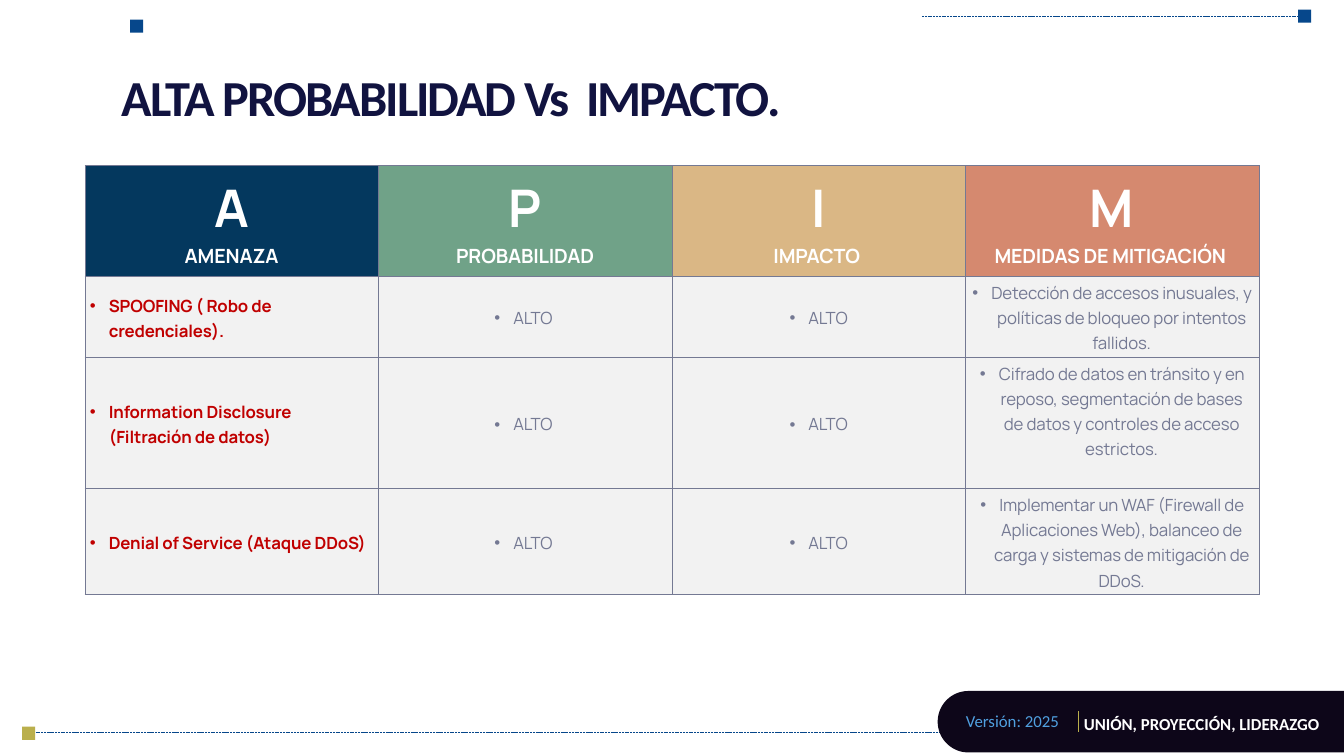
import math
from dataclasses import dataclass
from lxml import etree
from pptx import Presentation
from pptx.dml.color import RGBColor
from pptx.enum import dml, shapes, text
from pptx.oxml import ns
from pptx.util import Pt


@dataclass(frozen=True)
class Theme:
    navy: str = "111340"
    blue: str = "06478B"
    gold: str = "BAAF4C"
    capsule: str = "0D0619"
    sky: str = "50A0E0"
    white: str = "FFFFFF"
    red: str = "C00000"
    gray: str = "747993"
    cell: str = "F2F2F2"
    heads: tuple = ("04385E", "70A288", "DAB785", "D5896F")
    plain_font: str = "Calibri"
    table_font: str = "Manrope"
    title_size: int = 72
    letter_size: int = 74
    label_size: int = 28
    body_size: int = 24


theme = Theme()


def add_text(para, words, size, color, font, bold=False, spacing=0):
    span = para.add_run()
    span.text = words
    span.font.size = Pt(size)
    span.font.name = font
    span.font.bold = bold
    span.font.color.rgb = RGBColor.from_string(color)
    if spacing:
        span.font._element.set("spc", str(spacing))


def add_line(page, x1, y1, x2, y2, color, dashed=True):
    line = page.shapes.add_connector(
        shapes.MSO_CONNECTOR.STRAIGHT, Pt(x1), Pt(y1), Pt(x2), Pt(y2))
    line.line.color.rgb = RGBColor.from_string(color)
    line.line.width = Pt(1)
    if dashed:
        line.line.dash_style = dml.MSO_LINE.SQUARE_DOT
    etree.SubElement(line._element.spPr, ns.qn("a:effectLst"))


deck = Presentation()
deck.slide_width, deck.slide_height = Pt(1919.5), Pt(1080)
page = deck.slides.add_slide(deck.slide_layouts[5])

# Dashed rules and corner squares
add_line(page, 46.8, 1046.9, 1854, 1046.9, theme.blue)
add_line(page, 1316.9, 23, 1864, 23, theme.blue)
for left, top, color in ((31.7, 1038.2, theme.gold),
                         (1854, 13.7, theme.blue),
                         (185.8, 28.1, theme.blue)):
    square = page.shapes.add_shape(
        shapes.MSO_SHAPE.RECTANGLE, Pt(left), Pt(top), Pt(18.7), Pt(18.7))
    square.shadow.inherit = False
    square.fill.solid()
    square.fill.fore_color.rgb = RGBColor.from_string(color)
    square.line.fill.background()

# Footer capsule, rounded on its left end
radius, center_x, center_y = 43.9, 1383.1, 1031
arc = [(Pt(center_x - radius * math.sin(math.radians(angle))),
        Pt(center_y + radius * math.cos(math.radians(angle))))
       for angle in range(0, 181, 4)]
outline = page.shapes.build_freeform(
    deck.slide_width, Pt(center_y - radius), scale=1.0)
outline.add_line_segments(
    [(deck.slide_width, Pt(center_y + radius))] + arc, close=True)
capsule = outline.convert_to_shape()
capsule.shadow.inherit = False
capsule.fill.solid()
capsule.fill.fore_color.rgb = RGBColor.from_string(theme.capsule)
capsule.line.fill.background()

# Footer texts and their divider
for left, top, width, words, color, bold in (
        (1372.3, 1014.5, 281.5, "Versión: 2025", theme.sky, False),
        (1540.8, 1018.8, 363.6, "UNIÓN, PROYECCIÓN, LIDERAZGO", theme.white, True)):
    box = page.shapes.add_textbox(Pt(left), Pt(top), Pt(width), Pt(47.5))
    box.text_frame.word_wrap = True
    para = box.text_frame.paragraphs[0]
    para.line_spacing = 0.9
    add_text(para, words, theme.body_size, color, theme.plain_font, bold)
add_line(page, 1540.8, 1015.9, 1540.8, 1046.2, theme.gold, dashed=False)

# Title
title = page.shapes.title
title.left, title.top, title.width, title.height = Pt(159.1), Pt(83.5), Pt(1601.3), Pt(105.1)
frame = title.text_frame
frame.word_wrap = True
frame.auto_size = text.MSO_AUTO_SIZE.NONE
frame.vertical_anchor = text.MSO_ANCHOR.BOTTOM
frame.margin_left = frame.margin_right = Pt(14.4)
frame.margin_top = frame.margin_bottom = Pt(7.2)
para = frame.paragraphs[0]
para.alignment = text.PP_ALIGN.JUSTIFY
para.line_spacing = 0.9
add_text(para, "ALTA PROBABILIDAD Vs  IMPACTO.", theme.title_size, theme.navy,
         theme.plain_font, True, -290)

# Threat table
headings = (("A", "AMENAZA"), ("P", "PROBABILIDAD"), ("I", "IMPACTO "),
            ("M", "MEDIDAS DE MITIGACIÓN "))
threats = (
    ("SPOOFING ( Robo de credenciales).", "ALTO ", "ALTO",
     "Detección de accesos inusuales, y políticas de bloqueo por intentos fallidos."),
    ("Information Disclosure (Filtración de datos)", "ALTO ", "ALTO",
     "Cifrado de datos en tránsito y en reposo, segmentación de bases de datos "
     "y controles de acceso estrictos."),
    ("Denial of Service (Ataque DDoS)", "ALTO ", "ALTO",
     "Implementar un WAF (Firewall de Aplicaciones Web), balanceo de carga y "
     "sistemas de mitigación de DDoS."),
)
row_heights = (159, 115.5, 187.5, 151.5)
table = page.shapes.add_table(4, 4, Pt(121.2), Pt(236.2), Pt(1676.8),
                              Pt(sum(row_heights))).table
table.first_row = table.horz_banding = False
for row, height in zip(table.rows, row_heights):
    row.height = Pt(height)

for column, (letter, label) in enumerate(headings):
    cell = table.cell(0, column)
    cell.fill.solid()
    cell.fill.fore_color.rgb = RGBColor.from_string(theme.heads[column])
    first, second = cell.text_frame.paragraphs[0], cell.text_frame.add_paragraph()
    for para, words, size in ((first, letter, theme.letter_size),
                              (second, label, theme.label_size)):
        para.alignment = text.PP_ALIGN.CENTER
        add_text(para, words, size, theme.white, theme.table_font, True, -20)

for row, threat in enumerate(threats, start=1):
    for column, words in enumerate(threat):
        cell = table.cell(row, column)
        cell.fill.solid()
        cell.fill.fore_color.rgb = RGBColor.from_string(theme.cell)
        is_name = column == 0
        para = cell.text_frame.paragraphs[0]
        para.alignment = text.PP_ALIGN.LEFT if is_name else text.PP_ALIGN.CENTER
        para.line_spacing = Pt(36)
        props = para._p.get_or_add_pPr()
        props.set("marL", str(Pt(27)))
        props.set("indent", str(-Pt(27)))
        etree.SubElement(props, ns.qn("a:buFont"), typeface="Arial")
        etree.SubElement(props, ns.qn("a:buChar"), char="•")
        add_text(para, words, theme.body_size, theme.red if is_name else theme.gray,
                 theme.table_font, is_name, -20)

# Cell anchors and borders
for cell in table.iter_cells():
    cell.vertical_anchor = text.MSO_ANCHOR.MIDDLE
    props = cell._tc.get_or_add_tcPr()
    for place, side in enumerate(("lnL", "lnR", "lnT", "lnB")):
        border = etree.Element(ns.qn(f"a:{side}"), w=str(Pt(1)))
        fill = etree.SubElement(border, ns.qn("a:solidFill"))
        etree.SubElement(fill, ns.qn("a:srgbClr"), val=theme.gray)
        props.insert(place, border)
table.cell(2, 3).vertical_anchor = text.MSO_ANCHOR.TOP

deck.save("out.pptx")
